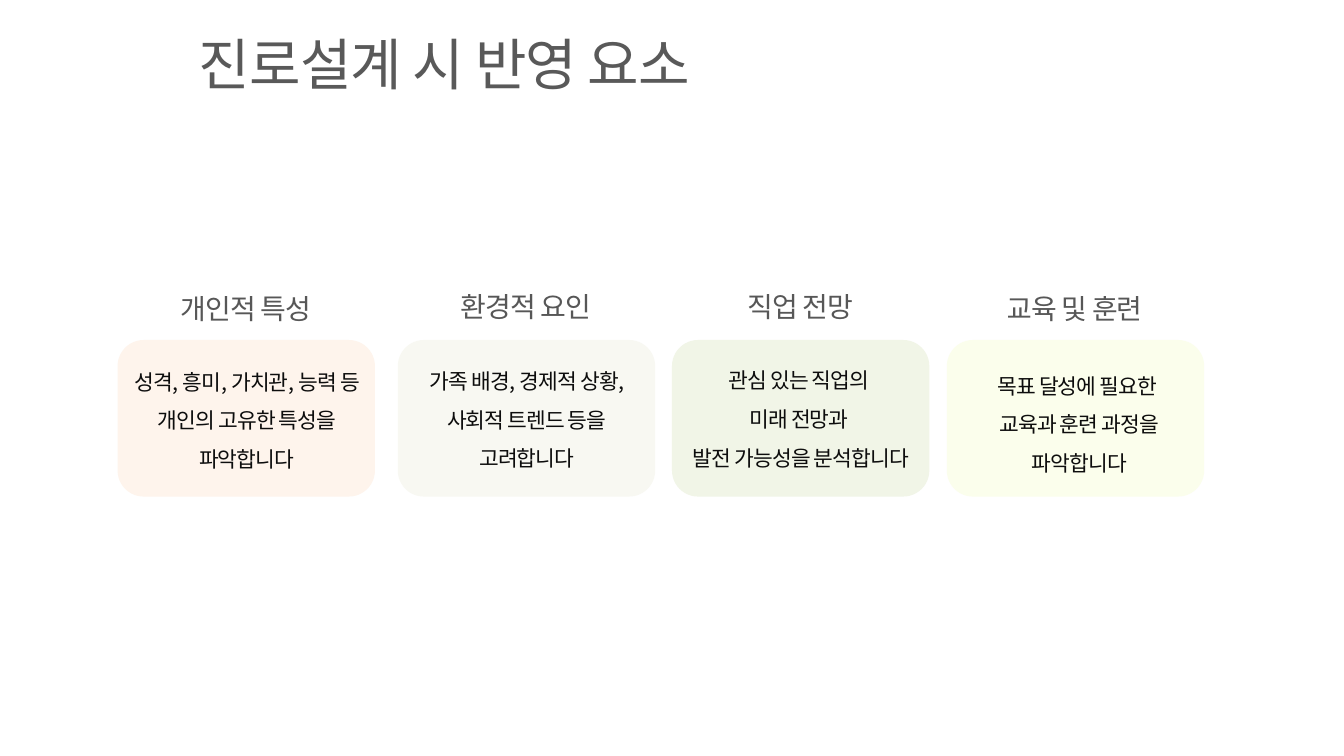
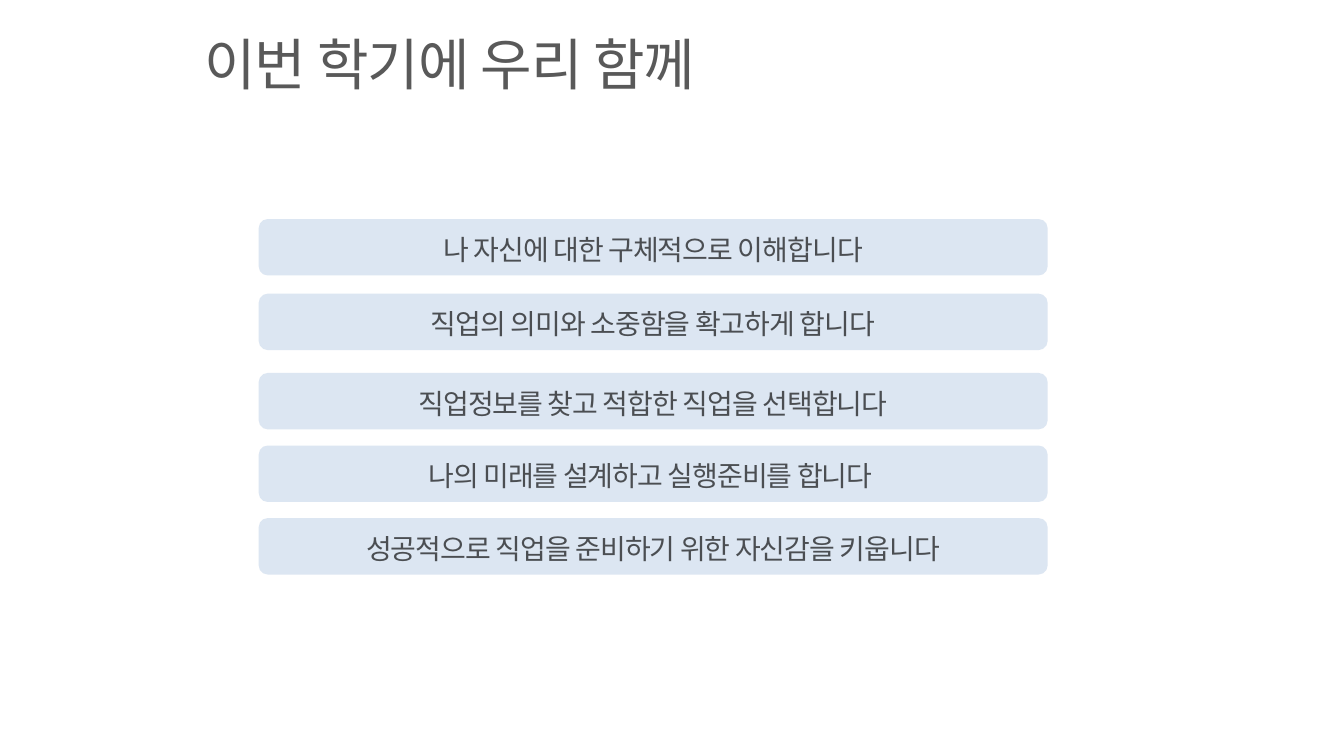
from dataclasses import dataclass

from pptx import Presentation
from pptx.dml.color import RGBColor as Rgb
from pptx.enum.shapes import MSO_SHAPE as Shape
from pptx.enum.text import MSO_ANCHOR as Anchor, PP_ALIGN as Align
from pptx.util import Inches, Pt
from lxml import etree


@dataclass(frozen=True)
class Theme:
    font: str = "Noto Sans CJK KR"
    white: str = "FFFFFF"
    title: str = "595959"
    head: str = "000000"
    body: str = "0D0D0D"
    bar: str = "DCE6F2"
    title_size: int = 60
    head_size: int = 30
    body_size: int = 23
    track: int = -100
    alpha: int = 66000


theme = Theme()
styles = {
    "title": dict(size=theme.title_size, ink=theme.title, lead=1.0, align=Align.LEFT),
    "head": dict(size=theme.head_size, ink=theme.head, lead=1.0, align=Align.CENTER),
    "body": dict(size=theme.body_size, ink=theme.body, lead=1.5, align=Align.CENTER),
    "bar": dict(size=theme.head_size, ink=theme.head, lead=1.2, align=Align.CENTER),
}


def write(shape, lines, style, pads=(0, 0, 0, 0), wrap=True):
    """Fill a shape with one paragraph per line; pads are left, top, right, bottom."""
    look = styles[style]
    frame = shape.text_frame
    sides = ("margin_left", "margin_top", "margin_right", "margin_bottom")
    form = dict(zip(sides, map(Inches, pads)), word_wrap=wrap, vertical_anchor=Anchor.MIDDLE)
    for name, value in form.items():
        setattr(frame, name, value)
    frame.text = "\n".join(lines)
    for para in frame.paragraphs:
        para.alignment, para.line_spacing = look["align"], look["lead"]
        for run in para.runs:
            font = run.font
            for name, value in dict(name=theme.font, size=Pt(look["size"])).items():
                setattr(font, name, value)
            font.color.rgb = Rgb.from_string(look["ink"])
            props = run._r.get_or_add_rPr()
            props.set("spc", str(theme.track))
            space = props.nsmap["a"]
            etree.SubElement(props, f"{{{space}}}ea", typeface=theme.font)
            if look["ink"] == theme.head:
                tint = props.find(f".//{{{space}}}srgbClr")
                etree.SubElement(tint, f"{{{space}}}alpha", val=str(theme.alpha))


def panel(slide, box, color):
    shape = slide.shapes.add_shape(Shape.ROUNDED_RECTANGLE, *map(Inches, box))
    shape.shadow.inherit = False
    shape.fill.solid()
    shape.fill.fore_color.rgb = Rgb.from_string(color)
    shape.line.fill.background()
    return shape


deck = Presentation()
deck.slide_width, deck.slide_height = Inches(20), Inches(11.25)

# Both slides: plain ground and title
slides = []
for text, left, width in [
    ("진로설계 시 반영 요소", 2.96, 9.21),
    ("이번 학기에 우리 함께", 3.04, 9.66),
]:
    slide = deck.slides.add_slide(deck.slide_layouts[6])
    ground = slide.background.fill
    ground.solid()
    ground.fore_color.rgb = Rgb.from_string(theme.white)
    box = slide.shapes.add_textbox(*map(Inches, (left, 0.35, width, 1.19)))
    write(box, [text], "title")
    slides.append(slide)
factors, goals = slides

# Four factor cards: left, fill, head, head top and height, body left and top, lines
cards = [
    (1.75, "FEF4EC", "개인적 특성", 4.24, 0.71, 1.89, 5.53,
     ["성격, 흥미, 가치관, 능력 등 개인의 고유한 특성을 파악합니다"]),
    (5.92, "F8F8F2", "환경적 요인", 4.21, 0.71, 6.06, 5.52,
     ["가족 배경, 경제적 상황, 사회적 트렌드 등을", "고려합니다"]),
    (10, "F1F5E7", "직업 전망", 4.21, 0.71, 10.14, 5.51,
     ["관심 있는 직업의 ", "미래 전망과 ", "발전 가능성을 분석합니다"]),
    (14.09, "FBFEEC", "교육 및 훈련", 4.21, 0.76, 14.28, 5.59,
     ["목표 달성에 필요한 ", "교육과 훈련 과정을", "파악합니다"]),
]
for left, color, head, top, tall, inner, drop, lines in cards:
    panel(factors, (left, 5.06, 3.83, 2.33), color)
    label = factors.shapes.add_textbox(*map(Inches, (left + 0.33, top, 3.15, tall)))
    write(label, [head], "head")
    note = factors.shapes.add_textbox(*map(Inches, (inner, drop, 3.56, 1.26)))
    write(note, lines, "body")

# Five goal bars
aims = [
    (3.26, "나 자신에 대한 구체적으로 이해합니다"),
    (4.37, "직업의 의미와 소중함을 확고하게 합니다"),
    (5.55, "직업정보를 찾고 적합한 직업을 선택합니다"),
    (6.63, "나의 미래를 설계하고 실행준비를 합니다 "),
    (7.71, "성공적으로 직업을 준비하기 위한 자신감을 키웁니다"),
]
for top, aim in aims:
    bar = panel(goals, (3.85, top, 11.74, 0.84), theme.bar)
    bar.adjustments[0] = 0.16
    write(bar, [aim], "bar", pads=(0.1, 0, 0.1, 0.05), wrap=False)

deck.save("out.pptx")
